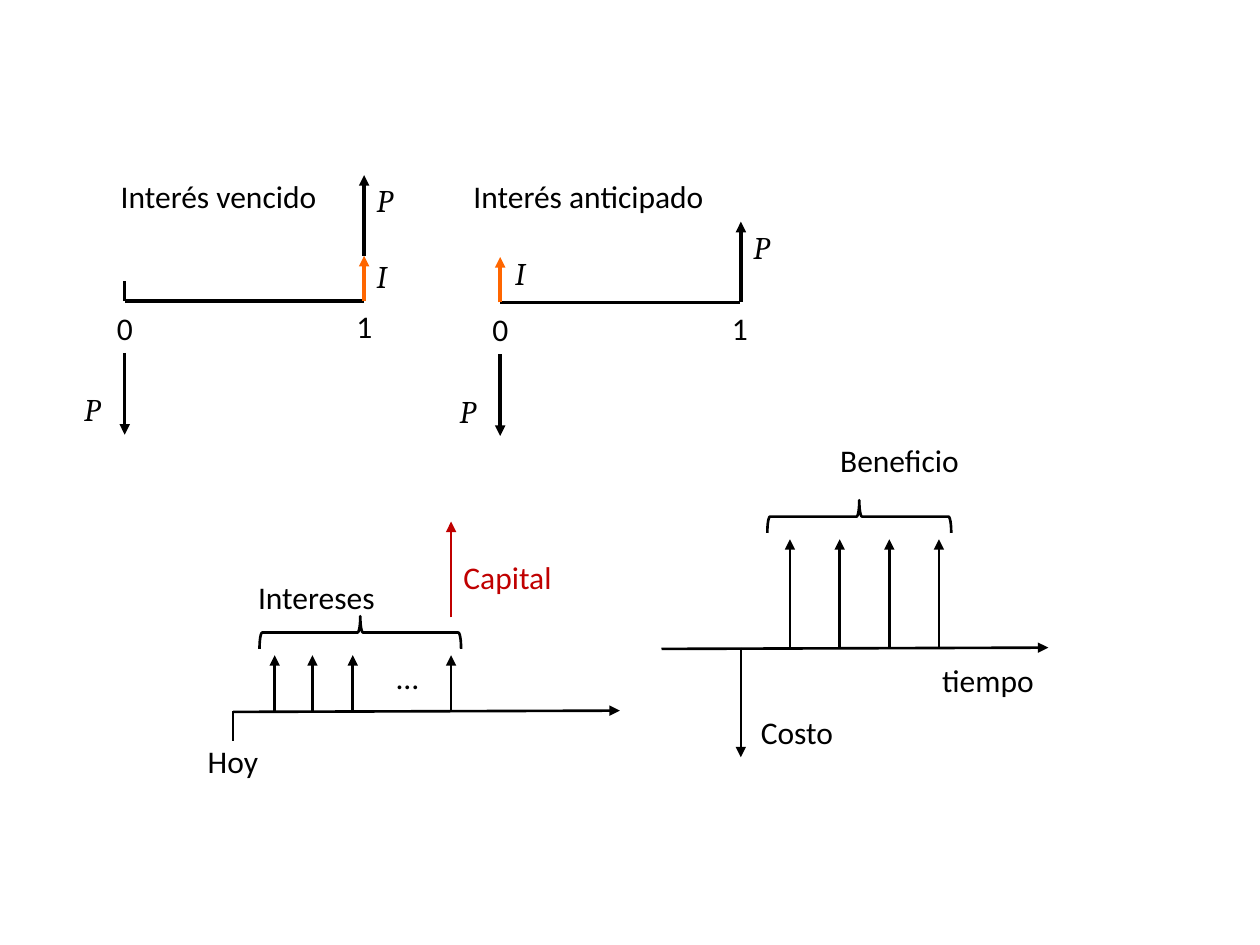
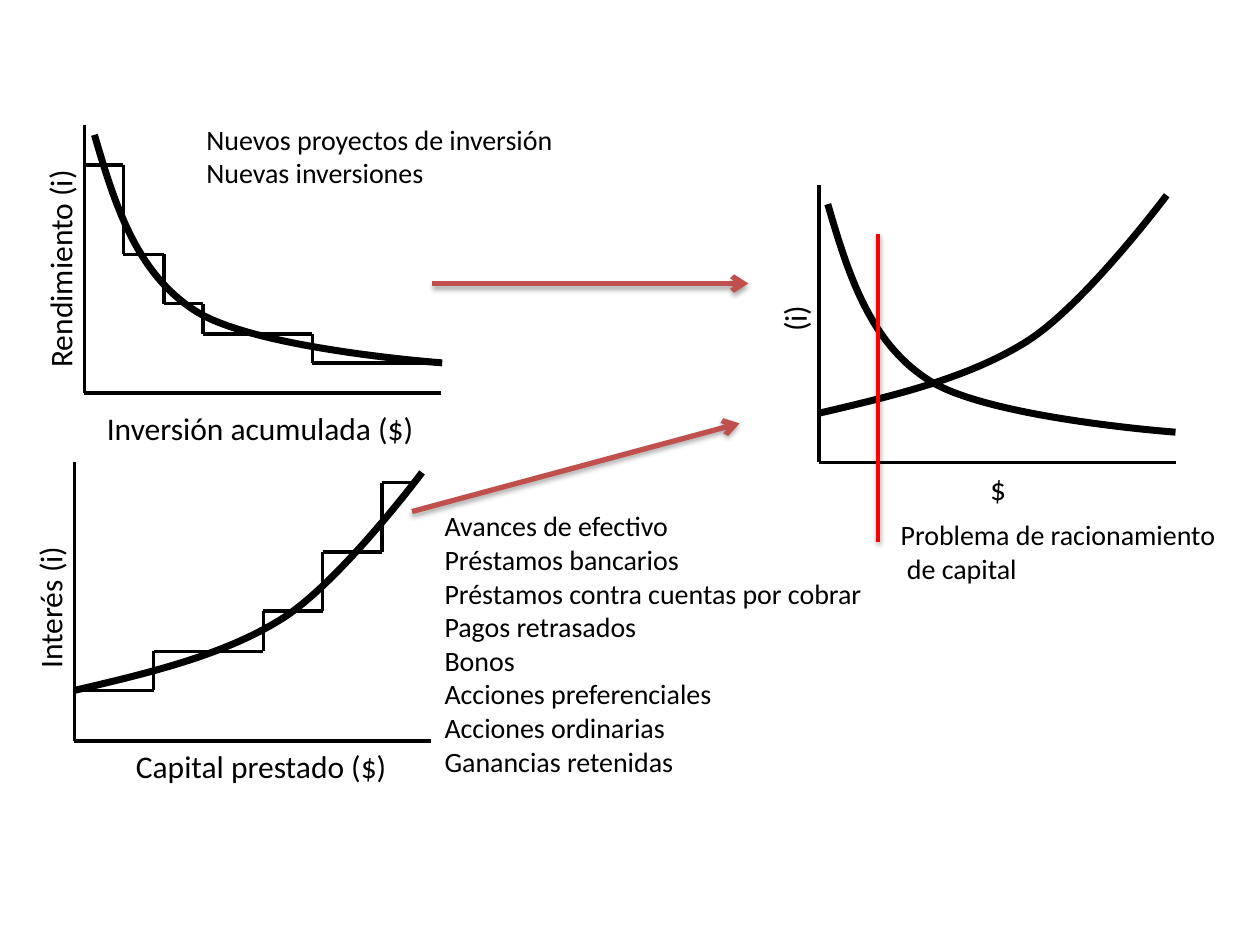
from itertools import pairwise

from lxml import etree
from pptx import Presentation
from pptx.dml.color import RGBColor
from pptx.enum.shapes import MSO_CONNECTOR, MSO_SHAPE
from pptx.enum.text import MSO_AUTO_SIZE, PP_ALIGN
from pptx.oxml.ns import qn
from pptx.util import Cm, Pt

BLACK, ORANGE, CRIMSON = "000000", "FF6600", "C00000"
RED, BRICK = "FF0000", "C0504D"
BODY, MATH = "Calibri", "Cambria"


def color(hex_code):
    return RGBColor.from_string(hex_code)


def inch(value):
    return Cm(value * 2.54)


class Sketch:
    """Holds the drawing style and the current slide."""

    def __init__(self, prs):
        self.prs = prs

    def new_slide(self):
        self.slide = self.prs.slides.add_slide(self.prs.slide_layouts[6])
        self.end_group()

    def start_group(self):
        self.shapes = self.slide.shapes.add_group_shape().shapes

    def end_group(self):
        self.shapes = self.slide.shapes

    def pen(self, shape, hex_code, width):
        shape.line.color.rgb = color(hex_code)
        shape.line.width = Pt(width)

    def line(self, start, end, width=2, hex_code=BLACK, head=None, shadow=None):
        """Straight line; shadow is (opacity %, distance in points)."""
        s = self.shapes.add_connector(
            MSO_CONNECTOR.STRAIGHT, *[inch(v) for v in (*start, *end)])
        self.pen(s, hex_code, width)
        sppr = s._element.spPr
        if head:
            etree.SubElement(sppr.find(qn("a:ln")), qn("a:tailEnd"), type=head)
        effects = etree.SubElement(sppr, qn("a:effectLst"))
        if shadow:
            opacity, distance = shadow
            outer = etree.SubElement(
                effects, qn("a:outerShdw"), blurRad=str(Pt(3.1)),
                dist=str(Pt(distance)), dir="5400000", rotWithShape="0")
            black = etree.SubElement(outer, qn("a:srgbClr"), val=BLACK)
            etree.SubElement(black, qn("a:alpha"), val=str(opacity * 1000))

    def arrow(self, start, end, width=1.5, hex_code=BLACK):
        self.line(start, end, width, hex_code, "triangle")

    def steps(self, points):
        for start, end in pairwise(points):
            self.line(start, end)

    def axes(self, x, top, bottom, length=2.83):
        self.steps([(x, top), (x, bottom), (x + length, bottom)])

    def curve(self, x, y, offsets):
        """Cubic curve from (x, y); offsets come in threes."""
        points = [(inch(x + dx), inch(y + dy)) for dx, dy in offsets]
        builder = self.shapes.build_freeform(inch(x), inch(y))
        builder.add_line_segments(points, close=False)
        s = builder.convert_to_shape()
        s.fill.background()
        s.shadow.inherit = False
        self.pen(s, BLACK, 4)
        # Turn each three straight segments into one cubic segment
        segments = list(s._element.iter(qn("a:lnTo")))
        for i in range(0, len(segments), 3):
            cubic = etree.Element(qn("a:cubicBezTo"))
            segments[i].addprevious(cubic)
            for segment in segments[i:i + 3]:
                cubic.append(segment[0])
                segment.getparent().remove(segment)

    def brace(self, x, y, width, height):
        s = self.shapes.add_shape(
            MSO_SHAPE.RIGHT_BRACE, *[inch(v) for v in (x, y, width, height)])
        s.rotation = 270
        s.fill.background()
        s.shadow.inherit = False
        self.pen(s, BLACK, 1.5)

    def text(self, x, y, width, *lines, size=18, height=0.4, font=BODY,
             hex_code=BLACK, rotation=0, wrap=False, align=PP_ALIGN.LEFT):
        s = self.shapes.add_textbox(
            *[inch(v) for v in (x, y, width, height)])
        s.rotation = rotation
        tf = s.text_frame
        tf.word_wrap = wrap
        tf.auto_size = MSO_AUTO_SIZE.SHAPE_TO_FIT_TEXT
        for i, words in enumerate(lines):
            p = tf.add_paragraph() if i else tf.paragraphs[0]
            p.alignment = align
            r = p.add_run()
            r.text = words
            r.font.size = Pt(size)
            r.font.name = font
            r.font.italic = font == MATH
            r.font.color.rgb = color(hex_code)

    def symbol(self, x, y, letter):
        self.text(x, y, 0.42 if letter == "P" else 0.36, letter, font=MATH)

    def loan(self, x, y):
        """One-period loan: time line, both dates and the payment at 0."""
        self.line((x, y), (x + 1.9, y))
        self.text(x - 0.16, y + 0.01, 0.33, "0")
        self.text(x + 1.74, y, 0.33, "1")
        self.arrow((x, y + 0.41), (x, y + 1.06), 2)
        self.symbol(x - 0.42, y + 0.66, "P")

    def interest(self, x, y):
        self.arrow((x, y), (x, y - 0.36), 2, ORANGE)

    def principal(self, x, y):
        self.arrow((x, y), (x, y - 0.64), 2)
        self.symbol(x, y - 0.64, "P")


prs = Presentation()
prs.slide_width, prs.slide_height = inch(10), inch(7.5)
sk = Sketch(prs)

# Slide 1: cash flow diagrams
sk.new_slide()

# Cost and benefit over time
sk.arrow((5.25, 5.15), (8.32, 5.14))
sk.arrow((5.88, 5.14), (5.88, 6.01))
for i in range(4):
    x = 6.27 + i * 0.394
    sk.arrow((x, 5.15), (x, 4.28))
sk.brace(6.69, 3.37, 0.26, 1.46)
sk.text(7.38, 5.2, 0.94, "tiempo")
sk.text(6.57, 3.45, 1.16, "Beneficio")
sk.text(5.94, 5.61, 0.78, "Costo")

# Interest payments and final capital
sk.arrow((1.85, 5.65), (4.92, 5.64))
sk.line((1.85, 5.88), (1.85, 5.64), 1.5)
for x in (2.18, 2.48, 2.8, 3.58):
    sk.arrow((x, 5.64), (x, 5.2))
sk.arrow((3.58, 4.9), (3.58, 4.14), hex_code=CRIMSON)
sk.brace(2.73, 4.22, 0.26, 1.6)
sk.text(1.55, 5.84, 0.61, "Hoy")
sk.text(3.05, 5.17, 0.38, "…")
sk.text(1.95, 4.54, 1.14, "Intereses")
sk.text(3.58, 4.38, 0.91, "Capital", hex_code=CRIMSON)

# Interest paid at the end
sk.loan(0.99, 2.39)
sk.line((0.99, 2.39), (0.99, 2.23))
sk.interest(2.89, 2.39)
sk.symbol(2.89, 1.99, "I")
sk.principal(2.89, 2.03)
sk.text(0.86, 1.36, 1.78, "Interés vencido")

# Interest paid in advance
sk.loan(3.97, 2.4)
sk.interest(3.97, 2.4)
sk.symbol(3.99, 1.97, "I")
sk.principal(5.88, 2.4)
sk.text(3.66, 1.36, 2.06, "Interés anticipado")

# Slide 2: capital rationing
FALLING = [(0.16, 0.55), (0.33, 1.09), (0.79, 1.39),
           (1.25, 1.7), (2.76, 1.81), (2.76, 1.81)]
RISING = [(0.6, -0.14), (1.19, -0.28), (1.65, -0.57),
          (2.11, -0.86), (2.76, -1.73), (2.76, -1.73)]
sk.new_slide()

# Return on accumulated investment
sk.curve(0.75, 1.07, FALLING)
sk.axes(0.67, 0.99, 3.12)
sk.steps([(0.67, 1.31), (0.98, 1.31), (0.98, 2.02), (1.3, 2.02), (1.3, 2.41),
          (1.61, 2.41), (1.61, 2.65), (2.48, 2.65), (2.48, 2.88), (3.5, 2.88)])
sk.text(0.75, 3.2, 2.67, "Inversión acumulada ($)")
sk.text(-0.42, 1.92, 1.79, "Rendimiento (i)", rotation=270)

# Interest on borrowed capital
sk.start_group()
sk.axes(0.59, 3.67, 5.88)
sk.curve(0.59, 5.48, RISING)
sk.steps([(0.59, 5.48), (1.22, 5.48), (1.22, 5.17), (2.09, 5.17), (2.09, 4.85),
          (2.56, 4.85), (2.56, 4.38), (3.03, 4.38), (3.03, 3.83), (3.27, 3.83)])
sk.text(0.98, 5.88, 2.22, "Capital prestado ($)")
sk.text(-0.2, 4.61, 1.19, "Interés (i)", rotation=270)

# Both curves together
sk.start_group()
sk.text(6.02, 2.33, 0.57, "(i)", rotation=270, wrap=True,
        align=PP_ALIGN.CENTER)
sk.axes(6.5, 1.47, 3.67)
sk.curve(6.5, 3.28, RISING)
sk.curve(6.57, 1.62, FALLING)
sk.text(7.76, 3.67, 0.33, "$")
sk.end_group()

# Sources and uses of funds
sk.text(3.43, 3.99, 3.58, "Avances de efectivo", "Préstamos bancarios",
        "Préstamos contra cuentas por cobrar", "Pagos retrasados ", "Bonos",
        "Acciones preferenciales", "Acciones ordinarias",
        "Ganancias retenidas", size=16, height=2.32)
sk.text(1.54, 0.92, 3.01, "Nuevos proyectos de inversión",
        "Nuevas inversiones", size=16, height=0.64)
for start, end in (((3.43, 2.25), (5.94, 2.25)), ((3.27, 4.06), (5.87, 3.36))):
    sk.line(start, end, 3, BRICK, "arrow", shadow=(35, 1.8))

# Limit on capital
sk.line((6.97, 1.86), (6.97, 4.3), 2, RED, shadow=(38, 1.6))
sk.text(7.05, 4.06, 2.74, "Problema de racionamiento", " de capital",
        size=16, height=0.64)

prs.save("out.pptx")
